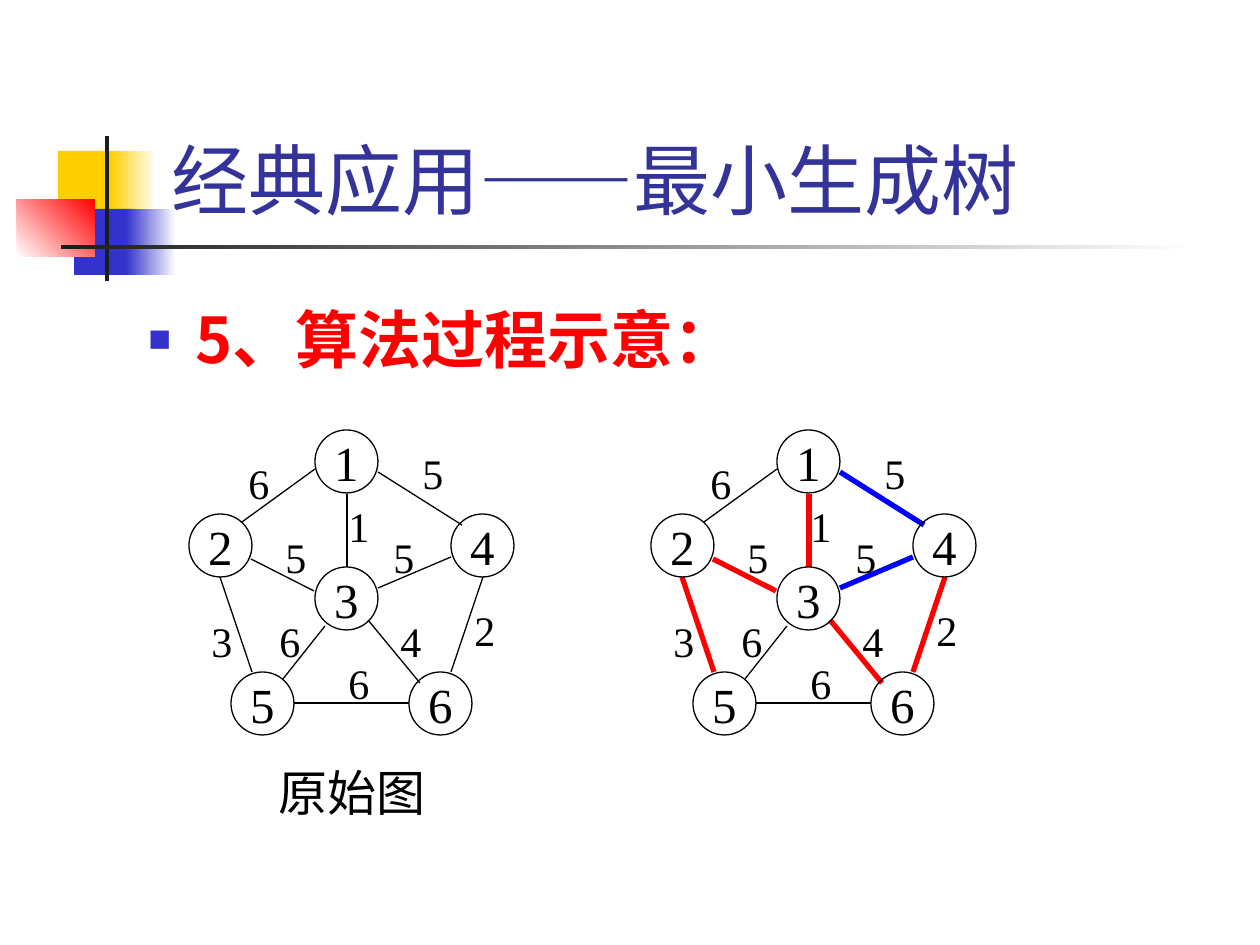
from lxml import etree
from pptx import Presentation
from pptx import util as u
from pptx.dml import color
from pptx.enum import shapes as kinds, text
from pptx.oxml import ns

SCALE = 914400 / 126  # EMU in one pixel

THEME = {
    "ink": "000000", "title": "333399", "accent": "FF0000", "rejected": "0000FF",
    "bullet": "3333CC", "yellow": "FFCF01", "bar": "1C1C1C", "paper": "FFFFFF",
    "latin": "Times New Roman", "heading": "Arial", "cjk": "Noto Sans CJK SC",
    "title_size": 44, "body_size": 36, "node_size": 28, "weight_size": 24,
    "thin": 0.75, "thick": 3,
}

NODE, WEIGHT_BOX = 63, (42, 63)
NODES = {1: (126, 0), 2: (0, 84), 3: (126, 137), 4: (262, 84), 5: (42, 242), 6: (220, 242)}
# ends of edge: weight, start, finish, corner of the weight's box
EDGES = {
    (1, 2): (6, (53, 92), (126, 39), (47, 21)),
    (3, 5): (6, (94, 249), (136, 196), (78, 179)),
    (3, 4): (5, (189, 158), (262, 127), (192, 95)),
    (2, 3): (5, (62, 129), (125, 161), (84, 95)),
    (1, 4): (5, (189, 42), (273, 95), (221, 11)),
    (4, 6): (2, (262, 242), (294, 147), (273, 168)),
    (2, 5): (3, (63, 242), (31, 147), (10, 179)),
    (5, 6): (6, (105, 273), (220, 273), (147, 221)),
    (1, 3): (1, (158, 137), (158, 64), (147, 64)),
    (3, 6): (4, (179, 190), (231, 253), (199, 179)),
}
TREE = dict.fromkeys([(1, 3), (2, 3), (2, 5), (3, 6), (4, 6)], "accent")
REJECTED = dict.fromkeys([(1, 4), (3, 4)], "rejected")


def px(*lengths):
    return [u.Emu(round(length * SCALE)) for length in lengths]


def rgb(name):
    return color.RGBColor.from_string(THEME[name])


def set_values(target, values):
    for name, value in values.items():
        setattr(target, name, value)


def add_xml(parent, tag, **attributes):
    return etree.SubElement(parent, ns.qn(tag), attributes)


def write(shape, words, size, ink="ink", font="latin", bold=False, frame=None,
          align=text.PP_ALIGN.CENTER, before=None):
    set_values(shape.text_frame, {"word_wrap": True, **(frame or {})})
    paragraph = shape.text_frame.paragraphs[0]
    paragraph.alignment = align
    if before:
        spacing = add_xml(paragraph._p.get_or_add_pPr(), "a:spcBef")
        add_xml(spacing, "a:spcPct", val=str(before * 1000))
    run = paragraph.add_run()
    run.text = words
    set_values(run.font, {"size": u.Pt(THEME[size]), "name": THEME[font], "bold": bold})
    run.font.color.rgb = rgb(ink)
    add_xml(run._r.get_or_add_rPr(), "a:ea", typeface=THEME["cjk"])
    return paragraph


def add_label(shapes, box, words, size):
    label = shapes.add_textbox(*px(*box))
    write(label, words, size, before=50,
          frame={"auto_size": text.MSO_AUTO_SIZE.SHAPE_TO_FIT_TEXT})


def draw_ornament(shapes, left, top):
    """Coloured blocks and crossing bars beside the title."""
    blocks = [
        ((41, 15, 61, 66), ["yellow"], 0),
        ((94, 15, 45, 66), ["yellow", "paper"], 0),
        ((57, 73, 58, 66), ["bullet"], 0),
        ((109, 73, 50, 66), ["bullet", "paper"], 0),
        ((0, 63, 78, 58), ["paper", "accent"], 45),
        ((88, 0, 4, 145), ["bar"], 0),
        ((44, 109, 1134, 4), ["bar", "paper"], 0),
    ]
    for (x, y, width, height), fills, angle in blocks:
        block = shapes.add_shape(kinds.MSO_SHAPE.RECTANGLE,
                                 *px(left + x, top + y, width, height))
        block.shadow.inherit = False
        block.line.fill.background()
        if len(fills) == 1:
            block.fill.solid()
            block.fill.fore_color.rgb = rgb(fills[0])
            continue
        block.fill.gradient()
        block.fill.gradient_angle = angle
        for stop, name, position in zip(block.fill.gradient_stops, fills, (0, 1)):
            stop.color.rgb = rgb(name)
            stop.position = position


def place_title(title, box, words):
    set_values(title, dict(zip(("left", "top", "width", "height"), px(*box))))
    write(title, words, "title_size", "title", "heading", align=text.PP_ALIGN.LEFT,
          frame={"vertical_anchor": text.MSO_ANCHOR.BOTTOM,
                 "auto_size": text.MSO_AUTO_SIZE.NONE})


def draw_heading(shapes, box, words):
    """Bulleted heading with a hanging indent."""
    heading = shapes.add_textbox(*px(*box))
    paragraph = write(heading, words, "body_size", "accent", "cjk", True,
                      align=text.PP_ALIGN.LEFT, before=20)
    properties = paragraph._p.get_or_add_pPr()
    indent = px(47)[0]
    properties.set("marL", str(indent))
    properties.set("indent", str(-indent))
    add_xml(add_xml(properties, "a:buClr"), "a:srgbClr", val=THEME["bullet"])
    add_xml(properties, "a:buSzPct", val="60000")
    add_xml(properties, "a:buFont", typeface=THEME["heading"])
    add_xml(properties, "a:buChar", char="■")


def draw_graph(shapes, left, top, marked):
    """Weighted graph; marked maps an edge to the colour of its thick line."""
    for edge, (weight, start, finish, corner) in EDGES.items():
        ends = px(left + start[0], top + start[1], left + finish[0], top + finish[1])
        line = shapes.add_connector(kinds.MSO_CONNECTOR.STRAIGHT, *ends)
        line.line.color.rgb = rgb(marked.get(edge, "ink"))
        line.line.width = u.Pt(THEME["thick" if edge in marked else "thin"])
        add_xml(line._element.spPr, "a:effectLst")
        add_label(shapes, (left + corner[0], top + corner[1], *WEIGHT_BOX),
                  str(weight), "weight_size")
    for number, (x, y) in NODES.items():
        node = shapes.add_shape(kinds.MSO_SHAPE.OVAL, *px(left + x, top + y, NODE, NODE))
        node.shadow.inherit = False
        node.fill.background()
        node.line.color.rgb = rgb("ink")
        node.line.width = u.Pt(THEME["thin"])
        write(node, str(number), "node_size",
              frame={"word_wrap": False, "vertical_anchor": text.MSO_ANCHOR.MIDDLE})


def build():
    presentation = Presentation()
    set_values(presentation, dict(zip(("slide_width", "slide_height"), px(1260, 945))))
    slide = presentation.slides.add_slide(presentation.slide_layouts[5])
    draw_ornament(slide.shapes, 17, 136)
    place_title(slide.shapes.title, (159, 29, 1074, 202), "经典应用——最小生成树")
    draw_heading(slide.shapes, (136, 294, 819, 105), "5、算法过程示意：")
    # Plain graph on the left, spanning tree on the right
    draw_graph(slide.shapes.add_group_shape().shapes, 189, 430, {})
    add_label(slide.shapes, (242, 756, 220, 72), "原始图", "node_size")
    draw_graph(slide.shapes, 651, 430, {**TREE, **REJECTED})
    presentation.save("out.pptx")


build()
